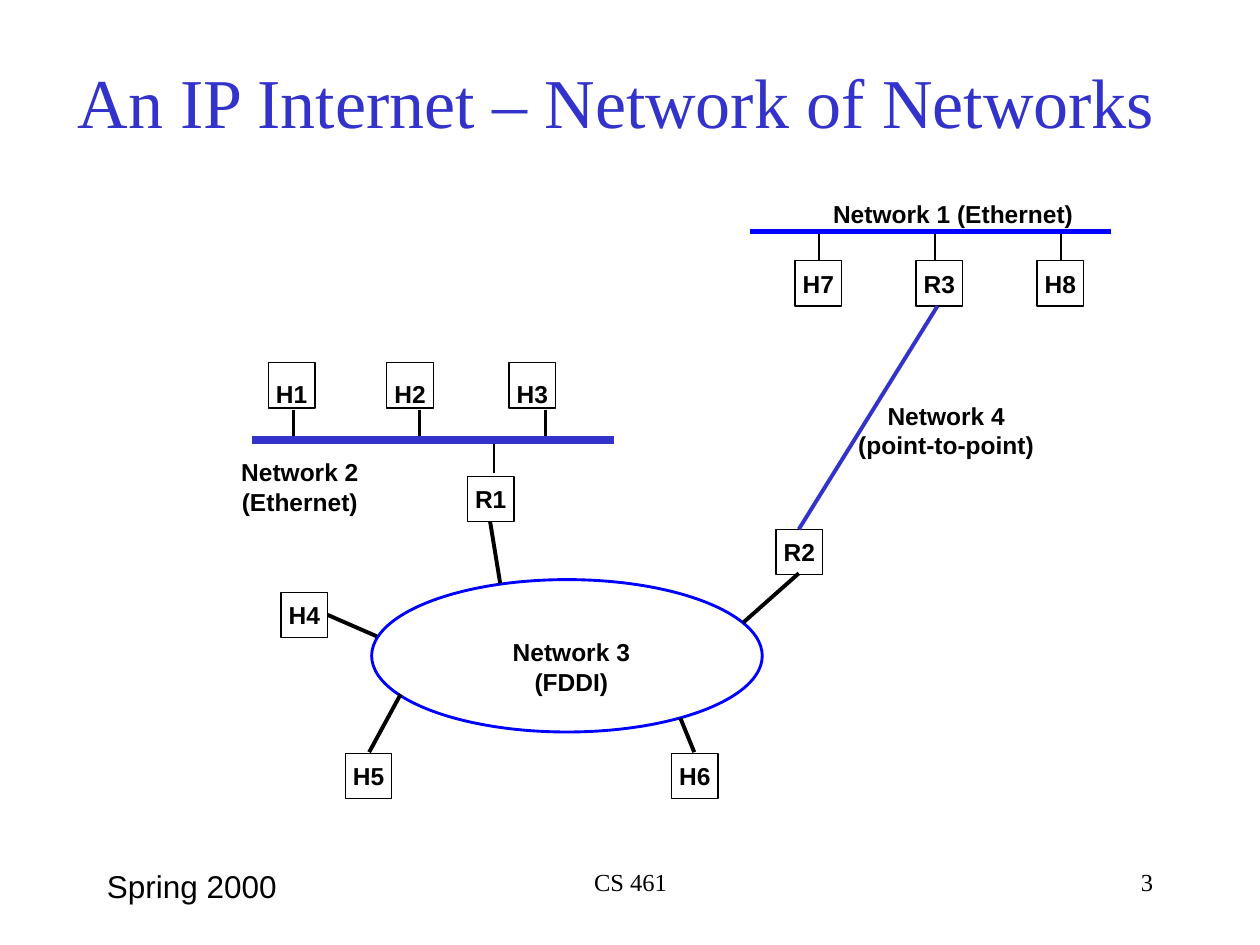
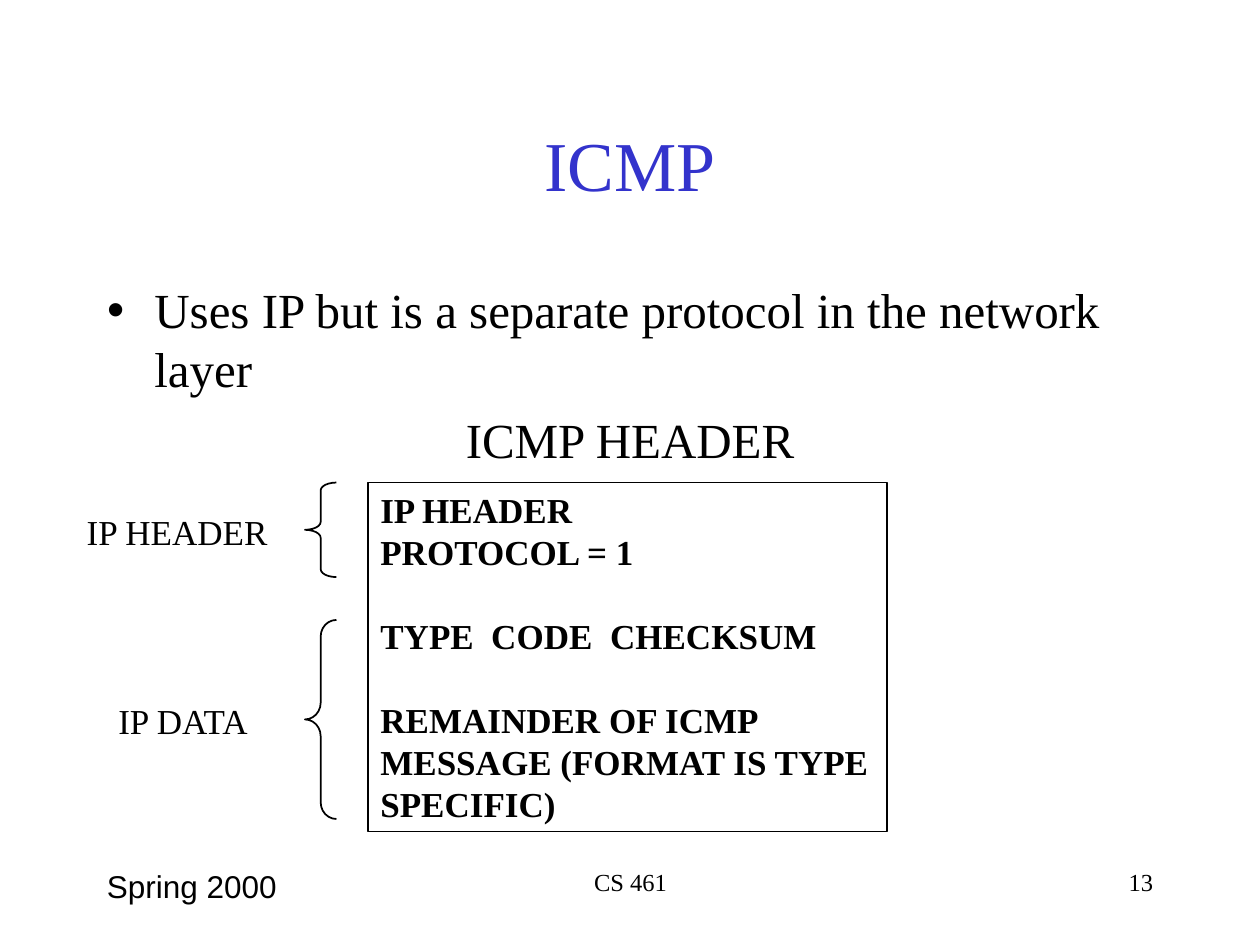
from lxml import etree
from pptx import Presentation
from pptx.dml.color import RGBColor
from pptx.enum.shapes import MSO_CONNECTOR, MSO_SHAPE
from pptx.enum.text import MSO_ANCHOR, MSO_AUTO_SIZE, PP_ALIGN
from pptx.oxml.ns import qn
from pptx.util import Inches, Pt

COLORS = {"title": "3333CC", "text": "000000", "ring": "0000FF", "link": "3333CC"}
SERIF, SANS = "Times New Roman", "Arial"
TITLE_ONLY, TITLE_AND_BODY = 5, 1
NODE_WIDTH, NODE_HEIGHT = 0.37, 0.36


def color(name):
    return RGBColor.from_string(COLORS[name])


def place(shape, left, top, width, height):
    shape.left, shape.top = Inches(left), Inches(top)
    shape.width, shape.height = Inches(width), Inches(height)


def style(paragraph, size, font=SERIF, bold=False, align=PP_ALIGN.LEFT, tint="text"):
    paragraph.alignment = align
    paragraph.font.size = Pt(size)
    paragraph.font.name = font
    paragraph.font.bold = bold
    paragraph.font.color.rgb = color(tint)


def set_margins(frame, horizontal, vertical):
    frame.margin_left = frame.margin_right = Inches(horizontal)
    frame.margin_top = frame.margin_bottom = Inches(vertical)


def add_title(slide, text, *box):
    title = slide.shapes.title
    place(title, *box)
    frame = title.text_frame
    frame.text = text
    frame.auto_size = MSO_AUTO_SIZE.NONE
    frame.vertical_anchor = MSO_ANCHOR.MIDDLE
    style(frame.paragraphs[0], 40, align=PP_ALIGN.CENTER, tint="title")


def add_text(slide, text, left, top, width, height, size, wrap=False, margins=(0.1, 0.05), **look):
    box = slide.shapes.add_textbox(*map(Inches, (left, top, width, height)))
    frame = box.text_frame
    frame.word_wrap = wrap
    set_margins(frame, *margins)
    frame.text = text
    for paragraph in frame.paragraphs:
        style(paragraph, size, **look)


def add_footer(slide, number):
    top, height = 6.83, 0.5
    add_text(slide, "Spring 2000", 0.75, top, 2.08, height, 18, wrap=True, font=SANS)
    add_text(slide, "CS 461", 3.42, top, 3.17, height, 14, wrap=True, align=PP_ALIGN.CENTER)
    add_text(slide, str(number), 7.17, top, 2.08, height, 14, wrap=True, align=PP_ALIGN.RIGHT)


def add_outline(slide, preset, left, top, width, height, weight=1, tint="text"):
    """Add a preset shape with a line and no fill."""
    shape = slide.shapes.add_shape(preset, *map(Inches, (left, top, width, height)))
    shape.shadow.inherit = False
    shape.fill.background()
    shape.line.color.rgb = color(tint)
    shape.line.width = Pt(weight)
    return shape


def add_line(slide, start, end, weight, tint="text"):
    line = slide.shapes.add_connector(MSO_CONNECTOR.STRAIGHT, *map(Inches, (*start, *end)))
    line.line.color.rgb = color(tint)
    line.line.width = Pt(weight)
    etree.SubElement(line._element.spPr, qn("a:effectLst"))


def add_node(slide, name, left, top, anchor=MSO_ANCHOR.MIDDLE):
    """Add the box of a host or router with its name."""
    node = add_outline(slide, MSO_SHAPE.RECTANGLE, left, top, NODE_WIDTH, NODE_HEIGHT, 0.75)
    frame = node.text_frame
    frame.word_wrap = False
    frame.vertical_anchor = anchor
    set_margins(frame, 0, 0)
    frame.text = name
    style(frame.paragraphs[0], 14, SANS, True, PP_ALIGN.CENTER)


def add_network_label(slide, text, *box):
    add_text(slide, text, *box, 14, margins=(0, 0), font=SANS, bold=True, align=PP_ALIGN.CENTER)


def add_brace(slide, left, top, width, height):
    brace = add_outline(slide, MSO_SHAPE.LEFT_BRACE, left, top, width, height)
    brace.adjustments[0] = height / (12 * width)


def add_packet(slide, lines, *box):
    """Add the framed packet; each line comes with the space before it."""
    packet = add_outline(slide, MSO_SHAPE.RECTANGLE, *box)
    frame = packet.text_frame
    frame.word_wrap = True
    frame.vertical_anchor = MSO_ANCHOR.TOP
    set_margins(frame, 0.1, 0.05)
    frame.text = "\n".join(text for text, _ in lines)
    for paragraph, (_, gap) in zip(frame.paragraphs, lines):
        style(paragraph, 20, bold=True)
        paragraph.space_before = Pt(gap)


def add_body(slide, bullet, caption, *box):
    body = slide.placeholders[1]
    place(body, *box)
    frame = body.text_frame
    frame.auto_size = MSO_AUTO_SIZE.NONE
    frame.text = f"{bullet}\n{caption}"
    first, last = frame.paragraphs
    style(first, 28)
    style(last, 28, align=PP_ALIGN.CENTER)
    for paragraph in (first, last):
        paragraph.space_before = Pt(7)
    etree.SubElement(last._p.get_or_add_pPr(), qn("a:buNone"))
    # The schema wants the bullet before the default run properties.
    properties = last._p.pPr
    properties.append(properties.find(qn("a:defRPr")))


def build_internet_slide(presentation):
    slide = presentation.slides.add_slide(presentation.slide_layouts[TITLE_ONLY])
    add_title(slide, "An IP Internet – Network of Networks", 0.43, 0.42, 8.92, 0.75)

    bus1, bus2 = 1.84, 3.49
    for name, left, drop in (("H7", 6.31, 6.5), ("R3", 7.27, 7.42), ("H8", 8.23, 8.42)):
        add_node(slide, name, left, 2.07)
        add_line(slide, (drop, bus1), (drop, 2.07), 1.5)
    for name, left, drop in (("H1", 2.13, 2.33), ("H2", 3.07, 3.33), ("H3", 4.04, 4.33)):
        add_node(slide, name, left, 2.88, MSO_ANCHOR.BOTTOM)
        add_line(slide, (drop, 3.25), (drop, bus2), 1.5)
    for name, left, top in (("R1", 3.71, 3.78), ("R2", 6.16, 4.2), ("H4", 2.23, 4.7),
                            ("H5", 2.74, 5.98), ("H6", 5.33, 5.98)):
        add_node(slide, name, left, top)

    add_line(slide, (3.92, bus2), (3.92, 3.75), 1.5)
    add_line(slide, (5.95, bus1), (8.82, bus1), 3, "ring")
    add_line(slide, (2, bus2), (4.87, bus2), 4.5, "link")
    add_line(slide, (7.44, 2.43), (6.34, 4.2), 2.25, "link")

    add_outline(slide, MSO_SHAPE.OVAL, 2.95, 4.6, 3.1, 1.21, 1.64, "ring")
    ring_links = (((3.89, 4.14), (3.97, 4.63)), ((6.34, 4.55), (5.9, 4.94)),
                  ((2.6, 4.88), (2.99, 5.05)), ((2.93, 5.97), (3.18, 5.51)),
                  ((5.51, 5.97), (5.4, 5.7)))
    for node_end, ring_end in ring_links:
        add_line(slide, node_end, ring_end, 2.25)

    add_network_label(slide, "Network 1 (Ethernet)", 6.61, 1.58, 1.91, 0.23)
    add_network_label(slide, "Network 2 (Ethernet)", 1.43, 3.63, 1.9, 0.23)
    add_network_label(slide, "Network 3 (FDDI)", 3.75, 5.06, 1.57, 0.23)
    add_network_label(slide, "Network 4\n(point-to-point)", 6.81, 3.18, 1.4, 0.46)
    add_footer(slide, 3)


def build_icmp_slide(presentation):
    slide = presentation.slides.add_slide(presentation.slide_layouts[TITLE_AND_BODY])
    add_title(slide, "ICMP", 0.75, 0.67, 8.5, 1.25)
    add_body(slide, "Uses IP but is a separate protocol in the network layer", "ICMP HEADER",
             0.75, 2.17, 8.5, 4.5)
    blank_line = 24
    packet_lines = (("IP HEADER", 0), ("PROTOCOL = 1", 0),
                    ("TYPE  CODE  CHECKSUM", blank_line),
                    ("REMAINDER OF ICMP", blank_line),
                    ("MESSAGE (FORMAT IS TYPE", 0), ("SPECIFIC)", 0))
    add_packet(slide, packet_lines, 2.92, 3.83, 4.12, 2.77)
    add_brace(slide, 2.42, 3.83, 0.25, 0.75)
    add_brace(slide, 2.42, 4.92, 0.25, 1.58)
    add_text(slide, "IP HEADER", 0.59, 4, 1.64, 0.44, 20)
    add_text(slide, "IP DATA", 0.84, 5.5, 1.29, 0.44, 20)
    add_footer(slide, 13)


def main():
    presentation = Presentation()
    presentation.slide_width, presentation.slide_height = Inches(10), Inches(7.5)
    build_internet_slide(presentation)
    build_icmp_slide(presentation)
    presentation.save("out.pptx")


if __name__ == "__main__":
    main()
